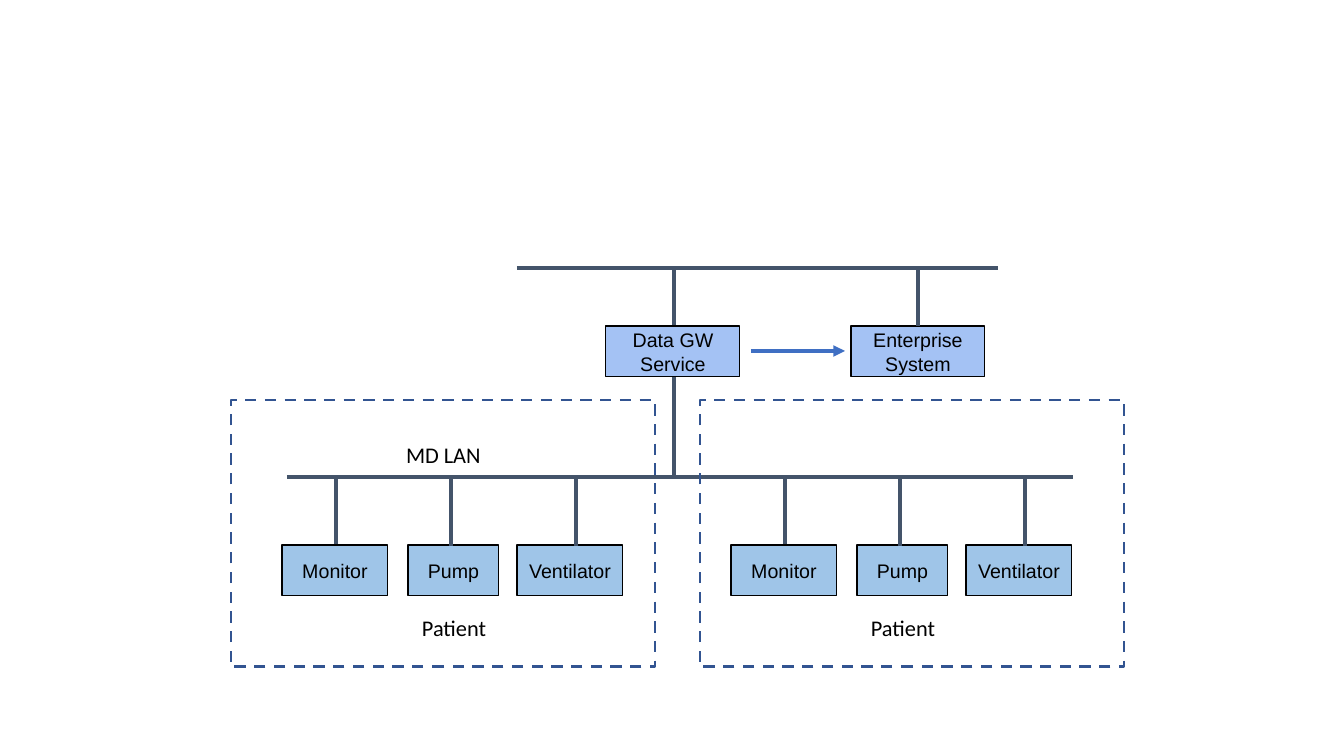
"""Builds a slide of two patient device networks joined to an enterprise system."""
from dataclasses import dataclass

from lxml.etree import SubElement
from pptx import Presentation
from pptx.dml.color import RGBColor
from pptx.enum.dml import MSO_LINE_DASH_STYLE as Dash
from pptx.enum.shapes import MSO_CONNECTOR as Connector, MSO_SHAPE as Shape
from pptx.enum.text import MSO_ANCHOR as Anchor, PP_ALIGN as Align
from pptx.oxml.ns import qn
from pptx.util import Pt

DEVICES = [
    ("Monitor", 282, 106, 336, 475, 544),
    ("Pump", 408, 91, 451, 476, 546),
    ("Ventilator", 517, 106, 576, 476, 546),
]
SERVICES = [("Data GW Service", 606), ("Enterprise System", 851)]
PATIENT = ("Patient", 367, 609, 174, 37)
LAN = ("MD LAN", 396, 436, 231, 37)
BAYS = [(231, 0), (700, 449)]
BAY_TOP, BAY_WIDTH, BAY_HEIGHT = 400, 424, 267
DEVICE_TOP, SERVICE_TOP, BOX_HEIGHT, SERVICE_WIDTH = 545, 326, 51, 134
LAN_BUS = (287, 477, 1073, 477)
ENTERPRISE_BUS = (517, 268, 998, 268)
GATEWAY_TRUNK = (674, 478, 674, 268)
ENTERPRISE_DROP = (918, 326, 918, 268)
DATA_FLOW = (751, 351, 845, 351)
SLIDE_SIZE = (1344, 756)
EMU_PER_PX = 914400 / 100.8


@dataclass(frozen=True)
class Theme:
    device: str = "9FC5E8"
    service: str = "A4C2F4"
    ink: str = "000000"
    wire: str = "44546A"
    bay: str = "325491"
    flow: str = "3F6FC3"
    box_font: str = "Arial"
    label_font: str = "Calibri"
    box_size: float = 14
    label_size: float = 16
    box_line: float = 0.75
    wire_line: float = 2.25
    bay_line: float = 2
    flow_line: float = 2.75


THEME = Theme()


def px(length):
    return round(length * EMU_PER_PX)


def style_line(line, color, width):
    line.color.rgb = RGBColor.from_string(color)
    line.width = Pt(width)


def write(part, words, font, size, align, inset):
    frame = part.text_frame
    frame.word_wrap = True
    frame.margin_left = frame.margin_right = px(10)
    frame.margin_top = frame.margin_bottom = px(inset)
    frame.text = words
    paragraph = frame.paragraphs[0]
    paragraph.alignment = align
    lettering = paragraph.runs[0].font
    lettering.name, lettering.size = font, Pt(size)
    lettering.color.rgb = RGBColor.from_string(THEME.ink)


def add_rectangle(slide, *bounds):
    rectangle = slide.shapes.add_shape(Shape.RECTANGLE, *map(px, bounds))
    rectangle.shadow.inherit = False
    return rectangle


def add_box(slide, words, left, top, width, fill):
    box = add_rectangle(slide, left, top, width, BOX_HEIGHT)
    box.fill.solid()
    box.fill.fore_color.rgb = RGBColor.from_string(fill)
    style_line(box.line, THEME.ink, THEME.box_line)
    write(box, words, THEME.box_font, THEME.box_size, Align.CENTER, 10)
    box.text_frame.vertical_anchor = Anchor.MIDDLE


def add_label(slide, words, left, top, width, height, align):
    label = slide.shapes.add_textbox(*map(px, (left, top, width, height)))
    write(label, words, THEME.label_font, THEME.label_size, align, 5)


def add_wire(slide, ends, color=THEME.wire, width=THEME.wire_line):
    wire = slide.shapes.add_connector(Connector.STRAIGHT, *map(px, ends))
    style_line(wire.line, color, width)
    SubElement(wire._element.spPr, qn("a:effectLst"))
    return wire


def add_bay(slide, left):
    bay = add_rectangle(slide, left, BAY_TOP, BAY_WIDTH, BAY_HEIGHT)
    bay.fill.background()
    style_line(bay.line, THEME.bay, THEME.bay_line)
    bay.line.dash_style = Dash.DASH


def add_devices(slide, shift):
    words, left, *bounds = PATIENT
    add_label(slide, words, left + shift, *bounds, Align.CENTER)
    for name, left, width, drop, top, bottom in DEVICES:
        add_box(slide, name, left + shift, DEVICE_TOP, width, THEME.device)
        add_wire(slide, (drop + shift, bottom, drop + shift, top))


def main():
    deck = Presentation()
    deck.slide_width, deck.slide_height = map(px, SLIDE_SIZE)
    slide = deck.slides.add_slide(deck.slide_layouts[6])
    for _, shift in BAYS:
        add_devices(slide, shift)
    add_wire(slide, LAN_BUS)
    add_label(slide, *LAN, Align.LEFT)
    add_wire(slide, GATEWAY_TRUNK)
    for left, _ in BAYS:
        add_bay(slide, left)
    for name, left in SERVICES:
        add_box(slide, name, left, SERVICE_TOP, SERVICE_WIDTH, THEME.service)
    add_wire(slide, ENTERPRISE_DROP)
    add_wire(slide, ENTERPRISE_BUS)
    flow = add_wire(slide, DATA_FLOW, THEME.flow, THEME.flow_line)
    SubElement(flow.line._get_or_add_ln(), qn("a:tailEnd"), type="triangle")
    deck.save("out.pptx")


if __name__ == "__main__":
    main()
